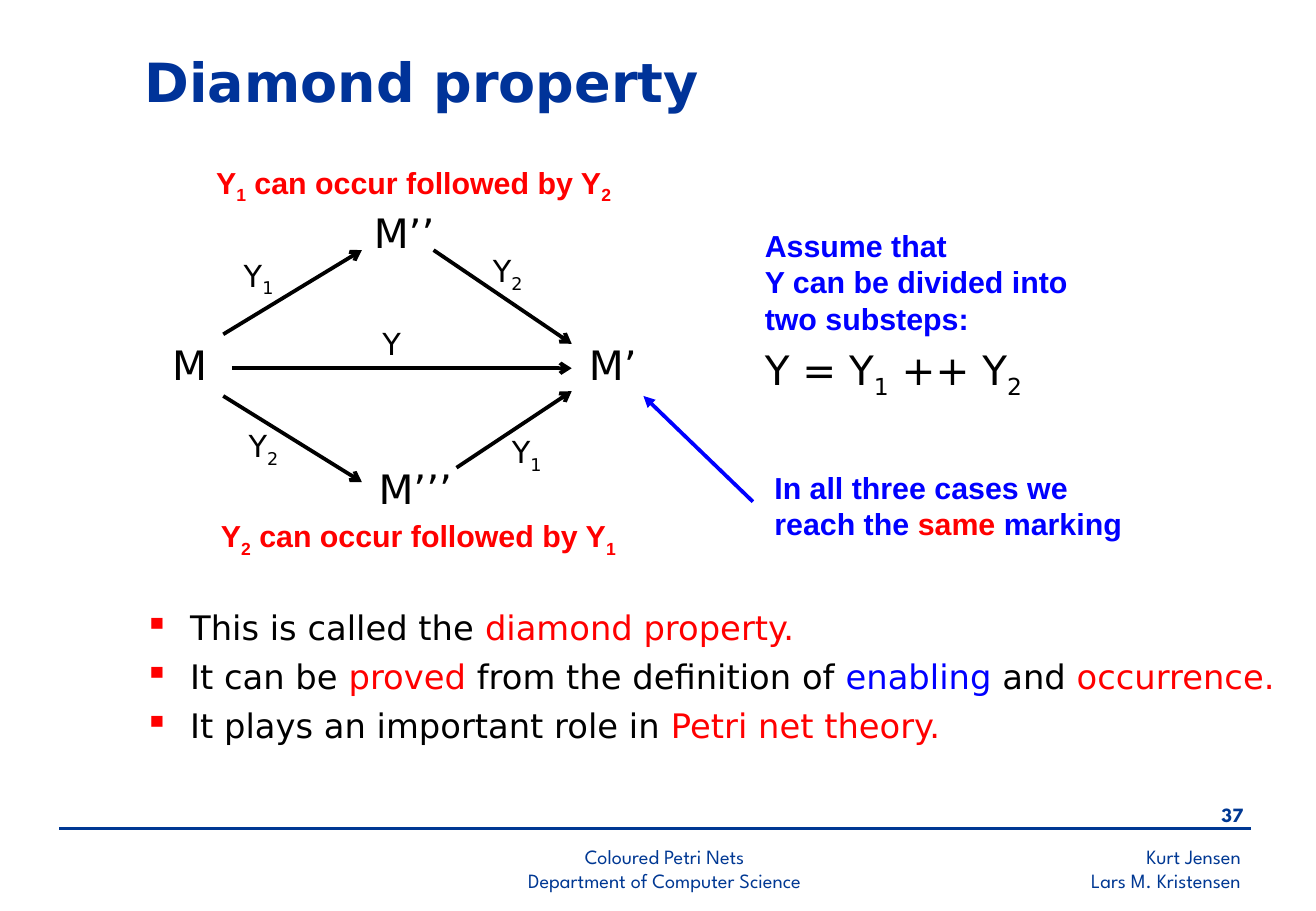
from dataclasses import dataclass

from lxml.etree import SubElement
from pptx import Presentation
from pptx.dml.color import RGBColor
from pptx.enum.shapes import MSO_CONNECTOR as Connector
from pptx.enum.text import MSO_ANCHOR as Anchor, MSO_AUTO_SIZE as AutoSize, PP_ALIGN as Align
from pptx.oxml.ns import qn
from pptx.util import Cm, Pt


@dataclass(frozen=True)
class Theme:
    black: str = "000000"
    red: str = "FF0000"
    blue: str = "0000FF"
    title_blue: str = "003399"
    footer_blue: str = "003893"
    main_font: str = "DejaVu Sans"
    note_font: str = "Arial"
    footer_font: str = "League Spartan"
    title_size: int = 32
    marking_size: int = 24
    bullet_size: int = 20
    note_size: int = 18
    footer_size: int = 12


THEME = Theme()


def add_text(paragraph, text, font, size, color, bold=False):
    """Add text to a paragraph; a character after "_" is a subscript."""
    for index, part in enumerate(text.split("_")):
        pieces = [(part, False)] if index == 0 else [(part[0], True), (part[1:], False)]
        for piece, subscript in pieces:
            if not piece:
                continue
            run = paragraph.add_run()
            run.text = piece
            run.font.name = font
            run.font.size = Pt(size)
            run.font.bold = bold
            run.font.color.rgb = RGBColor.from_string(color)
            if subscript:
                run.font._element.set("baseline", "-25000")


class SlideBuilder:
    def __init__(self, presentation, theme):
        self.theme = theme
        self.slide = presentation.slides.add_slide(presentation.slide_layouts[5])

    def title(self, text, left, top, width, height):
        shape = self.slide.shapes.title
        shape.left, shape.top, shape.width, shape.height = map(Cm, (left, top, width, height))
        frame = shape.text_frame
        frame.auto_size = AutoSize.NONE
        frame.vertical_anchor = Anchor.MIDDLE
        frame.paragraphs[0].alignment = Align.LEFT
        add_text(frame.paragraphs[0], text, self.theme.main_font, self.theme.title_size,
                 self.theme.title_blue, bold=True)

    def text(self, paragraphs, left, top, width, height, color, align=Align.LEFT,
             line_spacing=None, space_before=0, bullet=None, **style):
        """Each paragraph is a list of strings or (string, colour) pairs."""
        frame = self.slide.shapes.add_textbox(*map(Cm, (left, top, width, height))).text_frame
        frame.word_wrap = True
        for index, parts in enumerate(paragraphs):
            paragraph = frame.add_paragraph() if index else frame.paragraphs[0]
            paragraph.alignment = align
            if line_spacing:
                paragraph.line_spacing = line_spacing
            if index:
                paragraph.space_before = Pt(space_before)
            if bullet:
                self.bullet(paragraph, bullet)
            for part in parts:
                words, part_color = (part, color) if isinstance(part, str) else part
                add_text(paragraph, words, color=part_color, **style)

    def bullet(self, paragraph, character):
        properties = paragraph._p.get_or_add_pPr()
        properties.set("marL", str(Cm(0.96)))
        properties.set("indent", str(-Cm(0.96)))
        bullet_color = SubElement(properties, qn("a:buClr"))
        SubElement(bullet_color, qn("a:srgbClr"), val=self.theme.red)
        SubElement(properties, qn("a:buChar"), char=character)

    def label(self, text, left, top, size, width=2.49):
        self.text([[text]], left, top, width, 1.19, self.theme.black,
                  line_spacing=0.8, font=self.theme.main_font, size=size)

    def note(self, paragraphs, left, top, width, height, color):
        self.text(paragraphs, left, top, width, height, color,
                  font=self.theme.note_font, size=self.theme.note_size, bold=True)

    def footer(self, lines, left, top, width, height, align, bold=False):
        self.text([[line] for line in lines], left, top, width, height,
                  self.theme.footer_blue, align=align, font=self.theme.footer_font,
                  size=self.theme.footer_size, bold=bold)

    def line(self, start, end, color, width=2.25, head=None):
        connector = self.slide.shapes.add_connector(
            Connector.STRAIGHT, *map(Cm, (*start, *end)))
        connector.line.color.rgb = RGBColor.from_string(color)
        connector.line.width = Pt(width)
        if head:
            SubElement(connector.line._get_or_add_ln(), qn("a:tailEnd"), type=head)
        SubElement(connector._element.spPr, qn("a:effectLst"))


def main():
    presentation = Presentation()
    presentation.slide_width, presentation.slide_height = Cm(27.53), Cm(19.05)
    builder = SlideBuilder(presentation, THEME)
    red, blue = THEME.red, THEME.blue

    # Title and footer
    builder.title("Diamond property", 2.77, 0.81, 13.31, 1.75)
    builder.line((1.24, 17.32), (26.16, 17.32), THEME.footer_blue, width=1.5)
    builder.footer(["37"], 24.46, 16.66, 1.8, 0.84, Align.RIGHT, bold=True)
    builder.footer(["Coloured Petri Nets", "Department of Computer Science"],
                   8.66, 17.53, 10.49, 1.19, Align.CENTER)
    builder.footer(["Kurt Jensen", "Lars M. Kristensen"],
                   17.65, 17.53, 8.56, 1.27, Align.RIGHT)

    # Markings of the diamond
    for marking, left, top in (("M", 3.35, 7.19), ("M’", 12.07, 7.19),
                               ("M’’", 7.57, 4.42), ("M’’’", 7.67, 9.78)):
        builder.label(marking, left, top, THEME.marking_size)

    # Steps between markings: name, label position, arrow start and end
    steps = (
        ("Y", (7.75, 6.83), (4.85, 7.7), (11.96, 7.7)),
        ("Y_1", (4.85, 5.33), (4.67, 6.99), (7.57, 5.23)),
        ("Y_2", (10.06, 5.23), (9.07, 5.23), (11.96, 7.19)),
        ("Y_2", (4.95, 8.89), (4.67, 8.28), (7.57, 10.08)),
        ("Y_1", (10.46, 9.02), (9.55, 9.78), (11.96, 8.18)),
    )
    for step, position, start, end in steps:
        builder.line(start, end, THEME.black, head="arrow")
        builder.label(step, *position, THEME.note_size, width=1.5)

    # Explanations around the diamond
    builder.note([["Y_1 can occur followed by Y_2"]], 4.27, 3.3, 8.99, 1.12, red)
    builder.note([["Y_2 can occur followed by Y_1"]], 4.37, 10.69, 8.99, 1.12, red)
    builder.note([["Assume that"], ["Y can be divided into two substeps:"]],
                 15.75, 4.62, 7.21, 2.54, blue)
    builder.label("Y = Y_1 ++ Y_2", 15.75, 7.19, THEME.marking_size, width=6.91)
    builder.note([["In all three cases we reach the ", ("same", red), " marking"]],
                 15.95, 9.68, 8.1, 1.78, blue)
    builder.line((15.75, 10.49), (13.46, 8.28), blue, head="triangle")

    # Conclusions
    builder.text(
        [["This is called the ", ("diamond property.", red)],
         ["It can be ", ("proved", red), " from the definition of ",
          ("enabling", blue), " and ", ("occurrence.", red)],
         ["It plays an important role in ", ("Petri net theory.", red)]],
        2.77, 12.57, 24.41, 3.3, THEME.black, space_before=5, bullet="▪",
        font=THEME.main_font, size=THEME.bullet_size)

    presentation.save("out.pptx")


if __name__ == "__main__":
    main()
